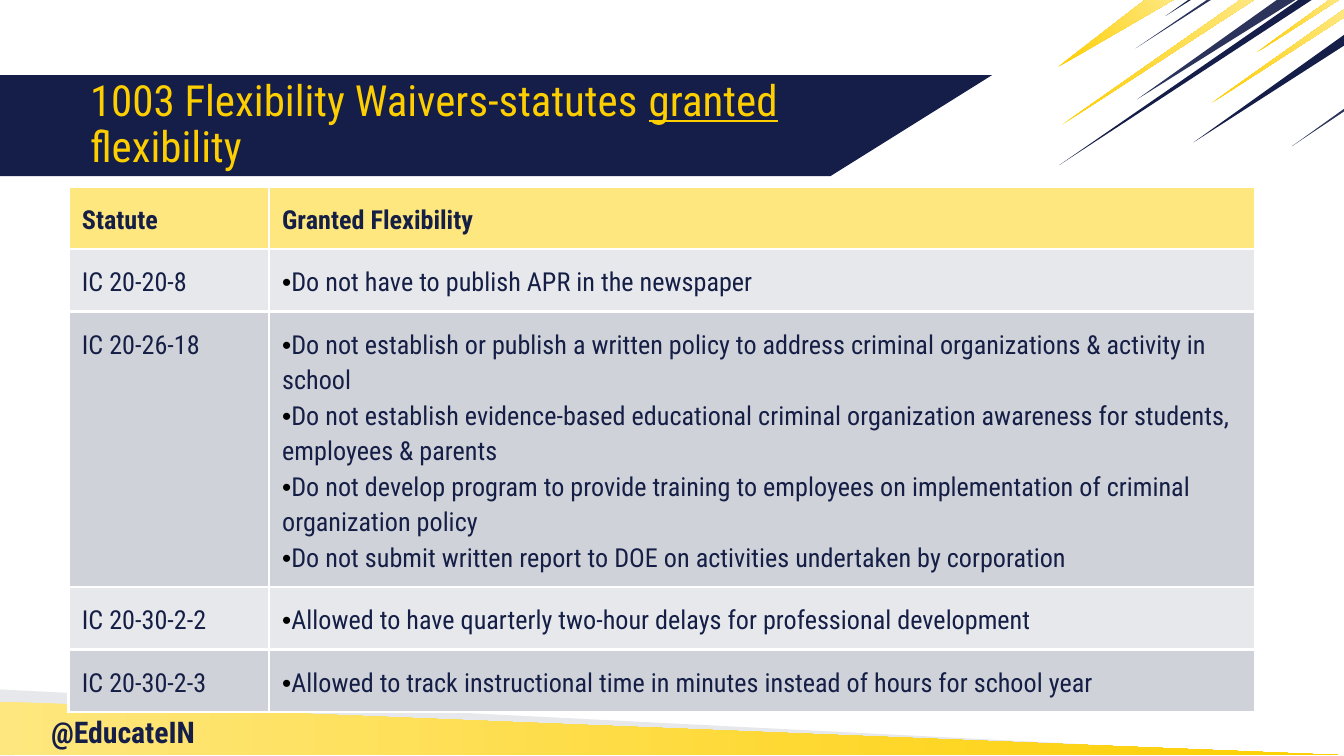
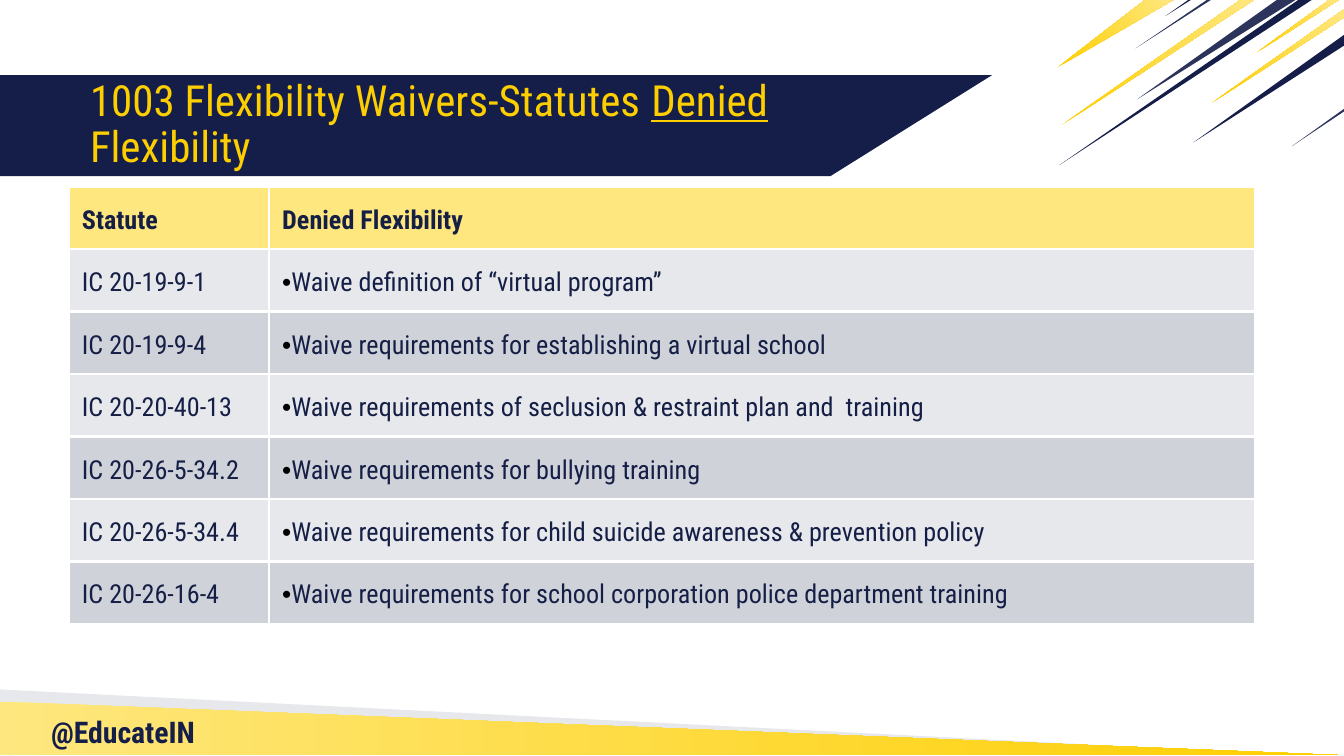
from lxml import etree
from pptx import Presentation
from pptx.dml.color import RGBColor
from pptx.enum import text
from pptx.oxml.ns import qn
from pptx.util import Inches, Pt

FONT = "Roboto Condensed"
NAVY, SLATE, INK = "151E49", "2C345B", "151F46"
GOLD, PALE_GOLD = "FECF00", "FEE77F"
LIGHT_GREY, MID_GREY = "E7E8EC", "D0D2DA"
WHITE, BLACK = "FFFFFF", "000000"
STREAK_GRADIENT = (GOLD, PALE_GOLD, 35)
FOOTER_GRADIENT = (PALE_GOLD, GOLD, 0)

HANDLE = "@EducateIN"
TITLE_BOX = (0.67, 0.56, 5.76, 0.75)
HANDLE_BOX = (0.33, 5.26, 2.04, 0.2)
TABLE_LEFT, TABLE_TOP = 0.51, 1.39
COLUMN_WIDTHS = (1.49, 7.34)
ROW_HEIGHT, EXTRA_BULLET_HEIGHT = 0.41, 0.4

# Fill, then the corner points in inches
DECORATION = [
    (NAVY, [(0, 0.56), (0, 1.31), (6.18, 1.31), (7.38, 0.56)]),
    (STREAK_GRADIENT, [(9.35, 0.39), (9.96, 0), (9.89, 0)]),
    (NAVY, [(7.88, 1.23), (9.76, 0), (9.66, 0)]),
    (STREAK_GRADIENT, [(8.52, 0), (7.87, 0.5), (8.73, 0)]),
    (STREAK_GRADIENT, [(10, 0.13), (10, 0.07), (9.01, 0.77)]),
    (SLATE, [(9.64, 0), (9.5, 0), (8.46, 0.74)]),
    (NAVY, [(8.88, 1.06), (10, 0.34), (10, 0.26)]),
    (SLATE, [(10, 0.83), (10, 0.81), (9.61, 1.09)]),
    (NAVY, [(8.67, 0.12), (8.86, 0), (8.84, 0)]),
    (STREAK_GRADIENT, [(7.9, 0.93), (9.33, 0), (9.23, 0)]),
    (SLATE, [(8.45, 0.36), (9.01, 0), (8.98, 0)]),
    (LIGHT_GREY, [(0, 5.13), (0, 5.62), (8.9, 5.58)]),
    (FOOTER_GRADIENT, [(0, 5.22), (0, 5.62), (10, 5.62)]),
]

# Title parts (the middle one is underlined), second heading, statutes
SLIDES = [
    (("1003 Flexibility Waivers-statutes ", "granted", " flexibility"),
     "Granted Flexibility",
     [("IC 20-20-8", ["Do not have to publish APR in the newspaper"]),
      ("IC 20-26-18", [
          "Do not establish or publish a written policy to address criminal "
          "organizations & activity in school",
          "Do not establish evidence-based educational criminal organization "
          "awareness for students, employees & parents",
          "Do not develop program to provide training to employees on "
          "implementation of criminal organization policy",
          "Do not submit written report to DOE on activities undertaken by corporation"]),
      ("IC 20-30-2-2", ["Allowed to have quarterly two-hour delays for professional development"]),
      ("IC 20-30-2-3", ["Allowed to track instructional time in minutes instead of hours "
                        "for school year"])]),
    (("1003 Flexibility Waivers-Statutes ", "Denied", " Flexibility"),
     "Denied Flexibility",
     [("IC 20-19-9-1", ["Waive definition of “virtual program”"]),
      ("IC 20-19-9-4", ["Waive requirements for establishing a virtual school"]),
      ("IC 20-20-40-13", ["Waive requirements of seclusion & restraint plan and  training"]),
      ("IC 20-26-5-34.2", ["Waive requirements for bullying training"]),
      ("IC 20-26-5-34.4", ["Waive requirements for child suicide awareness & prevention policy"]),
      ("IC 20-26-16-4", ["Waive requirements for school corporation police department training"])]),
]


def rgb(color):
    return RGBColor.from_string(color)


def add_run(p, words, size, color, bold=False, underline=False, font=FONT):
    r = p.add_run()
    r.text = words
    r.font.name, r.font.size = font, Pt(size)
    r.font.bold, r.font.underline = bold, underline
    r.font.color.rgb = rgb(color)


def set_margins(frame, inches):
    frame.margin_left = frame.margin_right = Inches(inches)
    frame.margin_top = frame.margin_bottom = Inches(inches)


def place(sp, box):
    sp.left, sp.top, sp.width, sp.height = map(Inches, box)


def add_polygon(s, fill, points):
    """Fill is a colour, or a (start, end, angle) gradient."""
    start, *corners = [(Inches(x), Inches(y)) for x, y in points]
    builder = s.shapes.build_freeform(*start)
    builder.add_line_segments(corners, close=True)
    sp = builder.convert_to_shape()
    sp.shadow.inherit = False
    sp.line.fill.background()
    if isinstance(fill, str):
        sp.fill.solid()
        sp.fill.fore_color.rgb = rgb(fill)
    else:
        *colors, angle = fill
        sp.fill.gradient()
        sp.fill.gradient_angle = angle
        for stop, color in zip(sp.fill.gradient_stops, colors):
            stop.color.rgb = rgb(color)
    return sp


def add_handle(s):
    sp = s.shapes.add_textbox(*map(Inches, HANDLE_BOX))
    tf = sp.text_frame
    tf.word_wrap = True
    set_margins(tf, 0.05)
    add_run(tf.paragraphs[0], HANDLE, 16, NAVY, bold=True)
    return sp


def prepare_layout(layout, s):
    """Draw the shared parts on s, then move them to the layout."""
    for ph in list(layout.placeholders):
        if ph.placeholder_format.idx:
            ph._element.getparent().remove(ph._element)
        else:
            place(ph, TITLE_BOX)
    parts = [add_polygon(s, *item) for item in DECORATION]
    parts.append(add_handle(s))
    for sp in parts:
        layout.shapes._spTree.append(sp._element)


def fill_title(title, parts):
    place(title, TITLE_BOX)
    tf = title.text_frame
    set_margins(tf, 0)
    tf.word_wrap = True
    tf.auto_size = text.MSO_AUTO_SIZE.NONE
    tf.vertical_anchor = text.MSO_ANCHOR.MIDDLE
    p = tf.paragraphs[0]
    p.alignment = text.PP_ALIGN.LEFT
    p.line_spacing = 0.9
    for i, part in enumerate(parts):
        add_run(p, part, 23, GOLD, underline=i == 1)


def add_borders(cell):
    tcPr = cell._tc.get_or_add_tcPr()
    for i, side in enumerate(("lnL", "lnR", "lnT", "lnB")):
        ln = etree.Element(qn(f"a:{side}"), w=str(Pt(1.5)))
        solid = etree.SubElement(ln, qn("a:solidFill"))
        etree.SubElement(solid, qn("a:srgbClr"), val=WHITE)
        tcPr.insert(i, ln)


def fill_cell(cell, lines, fill, bold=False, bullets=False):
    set_margins(cell, 0.1)
    cell.fill.solid()
    cell.fill.fore_color.rgb = rgb(fill)
    add_borders(cell)
    tf = cell.text_frame
    for i, line in enumerate(lines):
        p = tf.add_paragraph() if i else tf.paragraphs[0]
        p.line_spacing = 1.15
        if bullets:
            add_run(p, "•", 14, BLACK, font="Arial")
        add_run(p, line, 14, INK, bold=bold)


def add_statute_table(s, heading, statutes):
    heights = [ROW_HEIGHT] + [ROW_HEIGHT + EXTRA_BULLET_HEIGHT * (len(waivers) - 1)
                              for _, waivers in statutes]
    box = (TABLE_LEFT, TABLE_TOP, sum(COLUMN_WIDTHS), sum(heights))
    table = s.shapes.add_table(len(heights), 2, *map(Inches, box)).table
    table.horz_banding = False
    for column, width in zip(table.columns, COLUMN_WIDTHS):
        column.width = Inches(width)
    for row, height in zip(table.rows, heights):
        row.height = Inches(height)
    for col, words in enumerate(("Statute", heading)):
        fill_cell(table.cell(0, col), [words], PALE_GOLD, bold=True)
    for row, (statute, waivers) in enumerate(statutes, 1):
        fill = LIGHT_GREY if row % 2 else MID_GREY
        fill_cell(table.cell(row, 0), [statute], fill)
        fill_cell(table.cell(row, 1), waivers, fill, bullets=True)


def main():
    prs = Presentation()
    prs.slide_width = Inches(10)
    prs.slide_height = prs.slide_width * 9 // 16
    layout = prs.slide_layouts.get_by_name("Title Only")
    for i, (title, heading, statutes) in enumerate(SLIDES):
        s = prs.slides.add_slide(layout)
        if i == 0:
            prepare_layout(layout, s)
        fill_title(s.shapes.title, title)
        add_statute_table(s, heading, statutes)
    prs.save("out.pptx")


if __name__ == "__main__":
    main()
